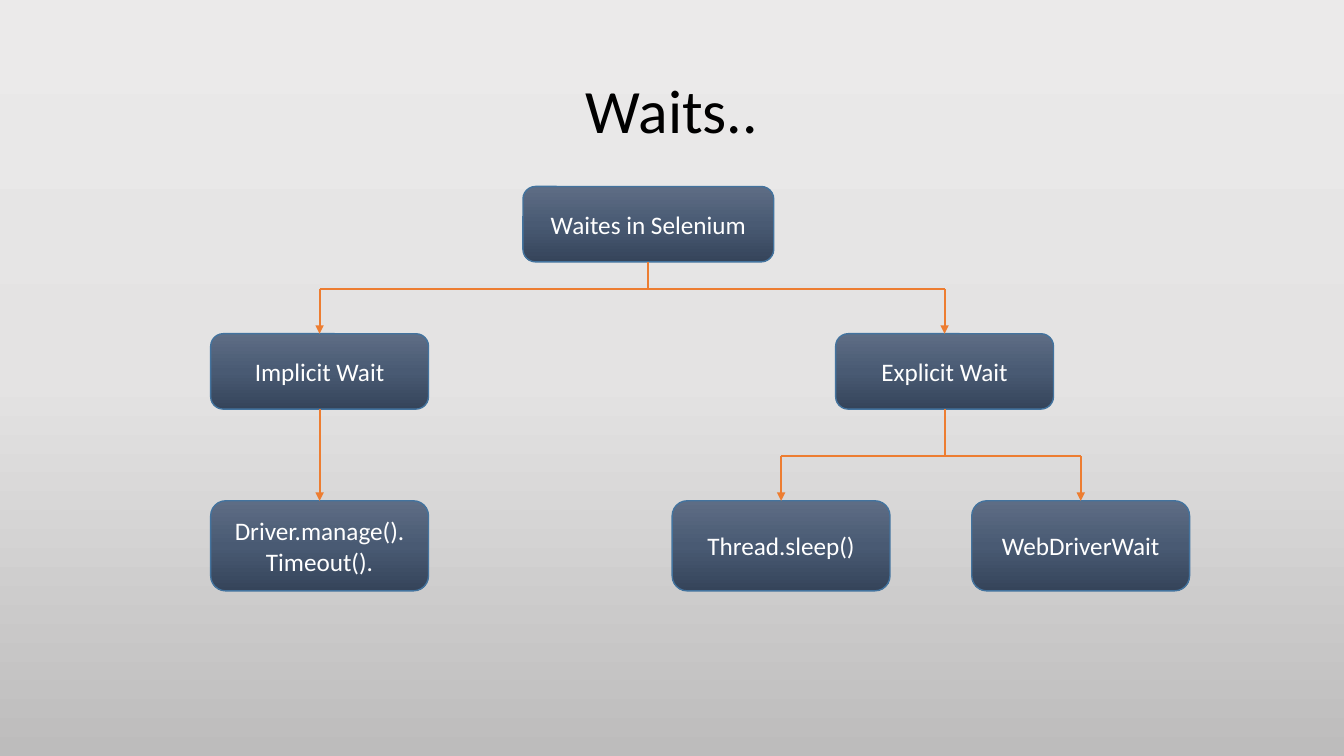
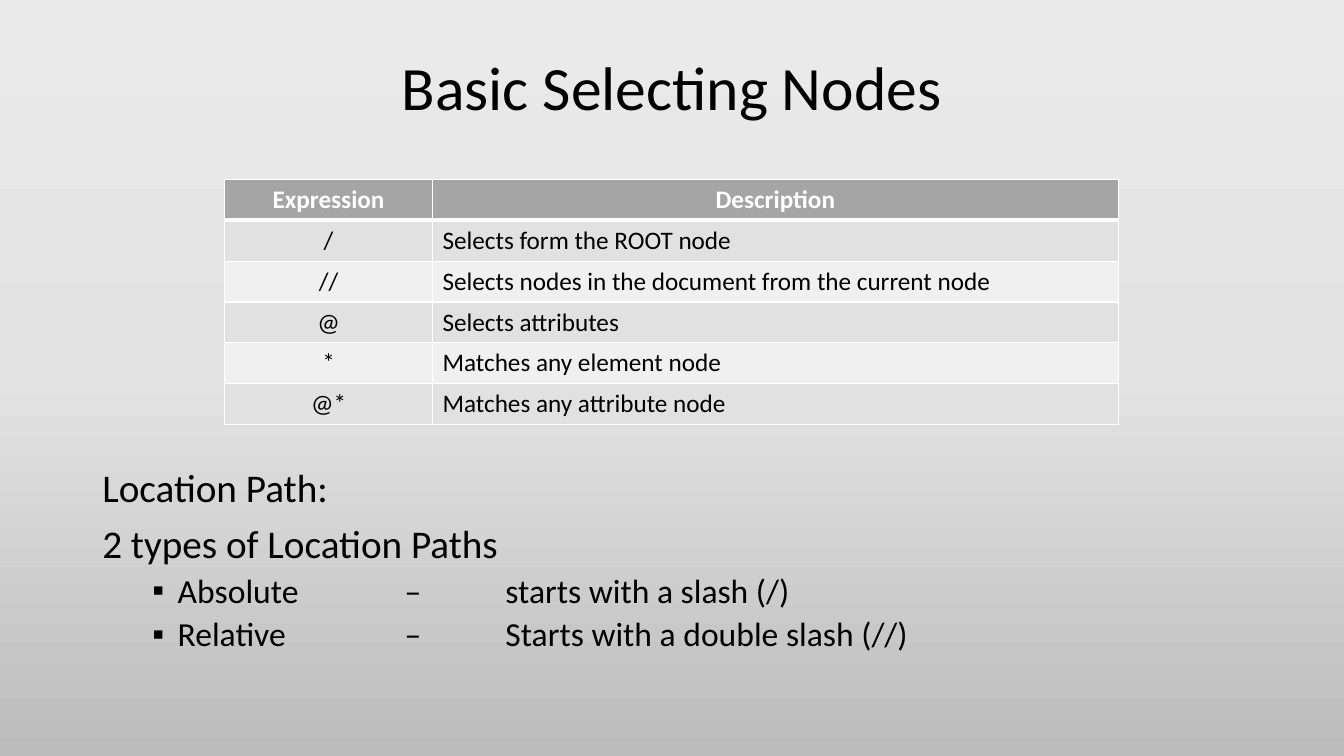
from copy import deepcopy

from lxml.etree import SubElement
from pptx import Presentation
from pptx.dml.color import RGBColor
from pptx.enum.shapes import MSO_CONNECTOR, MSO_SHAPE
from pptx.enum.text import MSO_ANCHOR, PP_ALIGN
from pptx.oxml.ns import qn
from pptx.util import Cm, Pt

FONT = "Calibri"
BLACK, WHITE, ORANGE, EDGE, HEAD = "000000", "FFFFFF", "ED7D31", "43739E", "A5A5A5"
BANDS = ("E1E1E1", "F0F0F0")
PAGE = ("EBEAEA", "E4E3E3", "BDBCBC")
NAVY = ("5E6D85", "495A73", "35445A")
ROWS = (
    ("Expression", "Description"),
    ("/", "Selects form the ROOT node"),
    ("//", "Selects nodes in the document from the current node"),
    ("@", "Selects attributes"),
    ("*", "Matches any element node"),
    ("@*", "Matches any attribute node"),
)
PATHS = (
    ("Location Path:", 0),
    ("2 types of Location Paths", 0),
    ("Absolute \t\u2013 \tstarts with a slash (/)", 1),
    ("Relative\t\t\u2013\tStarts with a double slash (//)", 1),
)


def paint(code):
    """Return the colour for a hex string."""
    return RGBColor.from_string(code)


def style(para, size, code=BLACK, bold=False, align=PP_ALIGN.LEFT):
    """Format a paragraph and its runs."""
    para.alignment = align
    for run in para.runs:
        font = run.font
        font.name, font.size, font.bold = FONT, Pt(size), bold
        font.color.rgb = paint(code)


def shade(fill, root, codes):
    """Fill from top to bottom with three evenly spaced colours."""
    fill.gradient()
    fill.gradient_angle = 270
    stops = next(root.iter(qn("a:gsLst")))
    stops.append(deepcopy(stops[0]))
    for i, (stop, code) in enumerate(zip(fill.gradient_stops, codes)):
        stop.color.rgb = paint(code)
        stop.position = i / 2


def add_text(slide, left, top, width, height):
    """Add a wrapping text box and return its frame."""
    box = slide.shapes.add_textbox(Cm(left), Cm(top), Cm(width), Cm(height))
    box.text_frame.word_wrap = True
    return box.text_frame


def add_page(deck, title, height):
    """Add a shaded slide with a centred title."""
    slide = deck.slides.add_slide(deck.slide_layouts[6])
    shade(slide.background.fill, slide.element, PAGE)
    frame = add_text(slide, 2.33, 1.01, 29.21, height)
    frame.vertical_anchor = MSO_ANCHOR.MIDDLE
    frame.text = title
    para = frame.paragraphs[0]
    para.line_spacing = 0.9
    style(para, 44, align=PP_ALIGN.CENTER)
    return slide


def add_node(slide, text, left, top, width=5.49, height=1.9):
    """Add a rounded box of the tree."""
    node = slide.shapes.add_shape(
        MSO_SHAPE.ROUNDED_RECTANGLE, Cm(left), Cm(top), Cm(width), Cm(height))
    node.shadow.inherit = False
    shade(node.fill, node.element, NAVY)
    node.line.color.rgb = paint(EDGE)
    node.line.width = Pt(1)
    frame = node.text_frame
    frame.word_wrap = True
    frame.vertical_anchor = MSO_ANCHOR.MIDDLE
    frame.text = text
    style(frame.paragraphs[0], 18, WHITE, align=PP_ALIGN.CENTER)
    return node


def add_line(slide, start, end, arrow=False):
    """Add an orange line, with an arrowhead if asked."""
    line = slide.shapes.add_connector(MSO_CONNECTOR.STRAIGHT, *start, *end)
    line.line.color.rgb = paint(ORANGE)
    line.line.width = Pt(1.5)
    if arrow:
        SubElement(line.line._get_or_add_ln(), qn("a:tailEnd"), type="triangle")
    SubElement(line.element.spPr, qn("a:effectLst"))


def mid(node):
    """Return the x of the centre of a node."""
    return node.left + node.width // 2


def join(slide, root, kids, level):
    """Link a node to its kids through a bar at the given level."""
    bar = Cm(level)
    add_line(slide, (mid(root), root.top + root.height), (mid(root), bar))
    add_line(slide, (mid(kids[0]), bar), (mid(kids[-1]), bar))
    for kid in kids:
        add_line(slide, (mid(kid), bar), (mid(kid), kid.top), True)


def edge(cell, side, width):
    """Draw one white cell border."""
    line = SubElement(cell._tc.get_or_add_tcPr(), qn("a:ln" + side), w=str(Pt(width)))
    fill = SubElement(line, qn("a:solidFill"))
    SubElement(fill, qn("a:srgbClr"), val=WHITE)


def add_grid(slide, rows, left, top, widths, height):
    """Add a banded table with a header row."""
    table = slide.shapes.add_table(
        len(rows), len(widths), Cm(left), Cm(top),
        Cm(sum(widths)), Cm(height * len(rows))).table
    for col, width in zip(table.columns, widths):
        col.width = Cm(width)
    for r, row in enumerate(rows):
        table.rows[r].height = Cm(height)
        head = r == 0
        for c, text in enumerate(row):
            cell = table.cell(r, c)
            cell.text = text
            style(cell.text_frame.paragraphs[0], 18, WHITE if head else BLACK, head,
                  PP_ALIGN.CENTER if head or c == 0 else PP_ALIGN.LEFT)
            for side in "LRTB":
                thick = (side, r) in (("B", 0), ("T", 1))
                edge(cell, side, 3 if thick else 1)
            cell.fill.solid()
            cell.fill.fore_color.rgb = paint(HEAD if head else BANDS[(r - 1) % 2])


def add_list(slide, items, *place):
    """Add lines of text, with square bullets on the second level."""
    frame = add_text(slide, *place)
    for i, (text, level) in enumerate(items):
        para = frame.add_paragraph() if i else frame.paragraphs[0]
        para.text = text
        para.level = level
        para.line_spacing = 0.9
        para.space_before = Pt(5 if level else 10)
        style(para, 24 if level else 28)
        if level:
            prop = para._p.get_or_add_pPr()
            prop.set("marL", str(Cm(1.9)))
            prop.set("indent", str(Cm(-0.64)))
            prop.set("defTabSz", str(Cm(2.54)))
            SubElement(prop, qn("a:buFont"), typeface="Arial")
            SubElement(prop, qn("a:buChar"), char="\u25aa")


def draw_waits(deck):
    """Build the tree of waits."""
    slide = add_page(deck, "Waits..", 3.68)
    root = add_node(slide, "Waites in Selenium", 13.18, 4.7, 6.32)
    left = add_node(slide, "Implicit Wait", 5.31, 8.41)
    right = add_node(slide, "Explicit Wait", 21.06, 8.41)
    drive, sleep, wait = [
        add_node(slide, text, x, 12.62, height=2.27)
        for text, x in (("Driver.manage(). Timeout().", 5.31),
                        ("Thread.sleep()", 16.94), ("WebDriverWait", 24.49))]
    join(slide, root, (left, right), 7.29)
    join(slide, right, (sleep, wait), 11.5)
    add_line(slide, (mid(left), left.top + left.height), (mid(drive), drive.top), True)


def draw_nodes(deck):
    """Build the table of node selectors."""
    slide = add_page(deck, "Basic Selecting Nodes", 2.54)
    add_grid(slide, ROWS, 5.66, 4.52, (5.24, 17.28), 1.03)
    add_list(slide, PATHS, 2.33, 11.68, 29.21, 5.46)


def main():
    """Build and save the deck."""
    deck = Presentation()
    deck.slide_width, deck.slide_height = Cm(33.87), Cm(19.05)
    draw_waits(deck)
    draw_nodes(deck)
    deck.save("out.pptx")


main()
